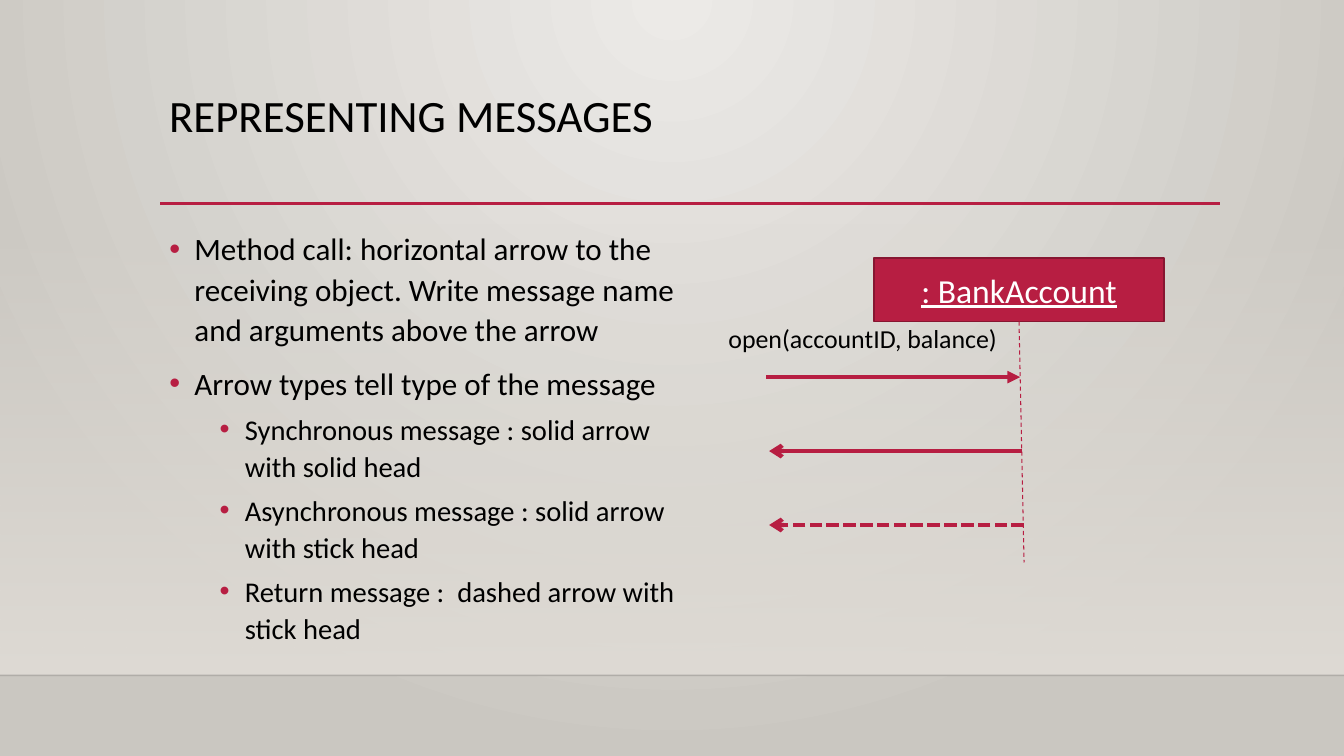
from lxml import etree
from pptx import Presentation
from pptx.dml.color import RGBColor
from pptx.enum import dml, shapes, text
from pptx.oxml.ns import qn
from pptx.util import Pt

CRIMSON = RGBColor(0xB7, 0x1E, 0x42)
DARK_CRIMSON = RGBColor(0x87, 0x16, 0x31)
BLACK = RGBColor(0, 0, 0)
WHITE = RGBColor(0xFF, 0xFF, 0xFF)
LIGHT_STONE = RGBColor(0xEC, 0xEA, 0xE7)
DARK_STONE = RGBColor(0xCA, 0xC7, 0xC1)
FLOOR = RGBColor(0xDF, 0xDB, 0xD5)
FONT = "Calibri"

BULLETS = [
    (0, "Method call: horizontal arrow to the receiving object. "
        "Write message name and arguments above the arrow"),
    (0, "Arrow types tell type of the message"),
    (1, "Synchronous message : solid arrow with solid head"),
    (1, "Asynchronous message : solid arrow with stick head"),
    (1, "Return message :  dashed arrow with stick head"),
]
# Size, space before and left indent of each bullet level
LEVELS = [(22.2, 10, 18), (20.4, 5, 54)]

# Start x, end x, head and dash of each message, from top to bottom
MESSAGES = [
    (547.2, 728.6, "triangle", None),
    (730.1, 549.4, "arrow", None),
    (731.5, 549.4, "arrow", dml.MSO_LINE.SQUARE_DOT),
]
FIRST_MESSAGE_Y, MESSAGE_STEP = 269.4, 52.8


def add_xml(parent, tag, **attributes):
    return etree.SubElement(parent, qn(tag), attributes)


def set_alpha(color_parent, percent):
    color = color_parent.find(".//" + qn("a:srgbClr"))
    add_xml(color, "a:alpha", val=str(percent * 1000))


def set_gradient(fill, colors):
    fill.gradient()
    for stop, color in zip(fill.gradient_stops, colors):
        stop.color.rgb = color


def set_background(page):
    """Fill the page with a round glow that starts at the top centre."""
    set_gradient(page.background.fill, (LIGHT_STONE, DARK_STONE))
    gradient = page.element.find(".//" + qn("a:gradFill"))
    gradient.remove(gradient.find(qn("a:lin")))
    glow = add_xml(gradient, "a:path", path="circle")
    add_xml(glow, "a:fillToRect", l="43000", t="0", r="43000", b="100000")


def add_rectangle(page, left, top, width, height):
    box = page.shapes.add_shape(shapes.MSO_SHAPE.RECTANGLE,
                                Pt(left), Pt(top), Pt(width), Pt(height))
    box.shadow.inherit = False
    return box


def add_floor(page):
    """Fade from clear to solid above the line near the bottom edge."""
    floor = add_rectangle(page, 0, 159.1, 960, 323.3)
    floor.line.fill.background()
    set_gradient(floor.fill, (FLOOR, FLOOR))
    floor.fill.gradient_angle = 270
    set_alpha(floor.element.find(".//" + qn("a:gs")), 0)


def add_line(page, start, end, width, color=CRIMSON, dash=None, head=None):
    line = page.shapes.add_connector(shapes.MSO_CONNECTOR.STRAIGHT,
                                     *(Pt(value) for value in start + end))
    line.line.color.rgb = color
    line.line.width = Pt(width)
    if dash:
        line.line.dash_style = dash
    if head:
        add_xml(line.line._get_or_add_ln(), "a:tailEnd", type=head)
    add_xml(line.element.spPr, "a:effectLst")
    return line


def set_font(para, size, color=BLACK):
    para.font.name = FONT
    para.font.size = Pt(size)
    para.font.color.rgb = color


def add_text_box(page, left, top, width, height):
    box = page.shapes.add_textbox(Pt(left), Pt(top), Pt(width), Pt(height))
    box.text_frame.word_wrap = True
    return box.text_frame


def add_label(page, wording, size, *place):
    para = add_text_box(page, *place).paragraphs[0]
    para.text = wording
    para.line_spacing = 0.9
    set_font(para, size)


def add_bullet(para, indent):
    properties = para._p.get_or_add_pPr()
    properties.set("marL", str(Pt(indent)))
    properties.set("indent", str(-Pt(18)))
    add_xml(add_xml(properties, "a:buClr"), "a:srgbClr", val=str(CRIMSON))
    add_xml(properties, "a:buFont", typeface="Arial")
    add_xml(properties, "a:buChar", char="•")


def add_bullets(page, *place):
    frame = add_text_box(page, *place)
    for index, (level, wording) in enumerate(BULLETS):
        size, space, indent = LEVELS[level]
        para = frame.add_paragraph() if index else frame.paragraphs[0]
        para.text = wording
        para.level = level
        para.line_spacing = 1.08
        para.space_before = Pt(space if index else 0)
        add_bullet(para, indent)
        set_font(para, size)


def add_object(page, name, *place):
    """Draw an object of the sequence diagram and return its box."""
    box = add_rectangle(page, *place)
    box.fill.solid()
    box.fill.fore_color.rgb = CRIMSON
    box.line.color.rgb = DARK_CRIMSON
    box.line.width = Pt(1.25)
    box.text_frame.vertical_anchor = text.MSO_ANCHOR.MIDDLE
    para = box.text_frame.paragraphs[0]
    para.text = name
    para.alignment = text.PP_ALIGN.CENTER
    set_font(para, 24, WHITE)
    para.font.underline = True
    return box


def main():
    deck = Presentation()
    deck.slide_width, deck.slide_height = Pt(960), Pt(540)
    page = deck.slides.add_slide(deck.slide_layouts[6])

    set_background(page)
    add_floor(page)
    floor_line = add_line(page, (0, 482.4), (960, 482.4), 1, BLACK)
    set_alpha(floor_line.element, 20)
    add_line(page, (114.5, 145.4), (871.2, 145.4), 2.5)

    add_label(page, "REPRESENTING MESSAGES", 32, 113.8, 63.4, 756, 83.5)
    add_bullets(page, 113.8, 158.4, 396.7, 320.4)
    add_label(page, "open(accountID, balance)", 18.5, 513.2, 229.5, 215, 30)

    account = add_object(page, ": BankAccount", 624.2, 184.3, 207.4, 45.4)
    lifeline = add_line(page, (727.9, 229.7), (731.5, 401.8), 0.75,
                        dash=dml.MSO_LINE.DASH)
    lifeline.begin_connect(account, 2)
    for index, (start, end, head, dash) in enumerate(MESSAGES):
        y = FIRST_MESSAGE_Y + index * MESSAGE_STEP
        add_line(page, (start, y), (end, y), 3, dash=dash, head=head)

    deck.save("out.pptx")


if __name__ == "__main__":
    main()
